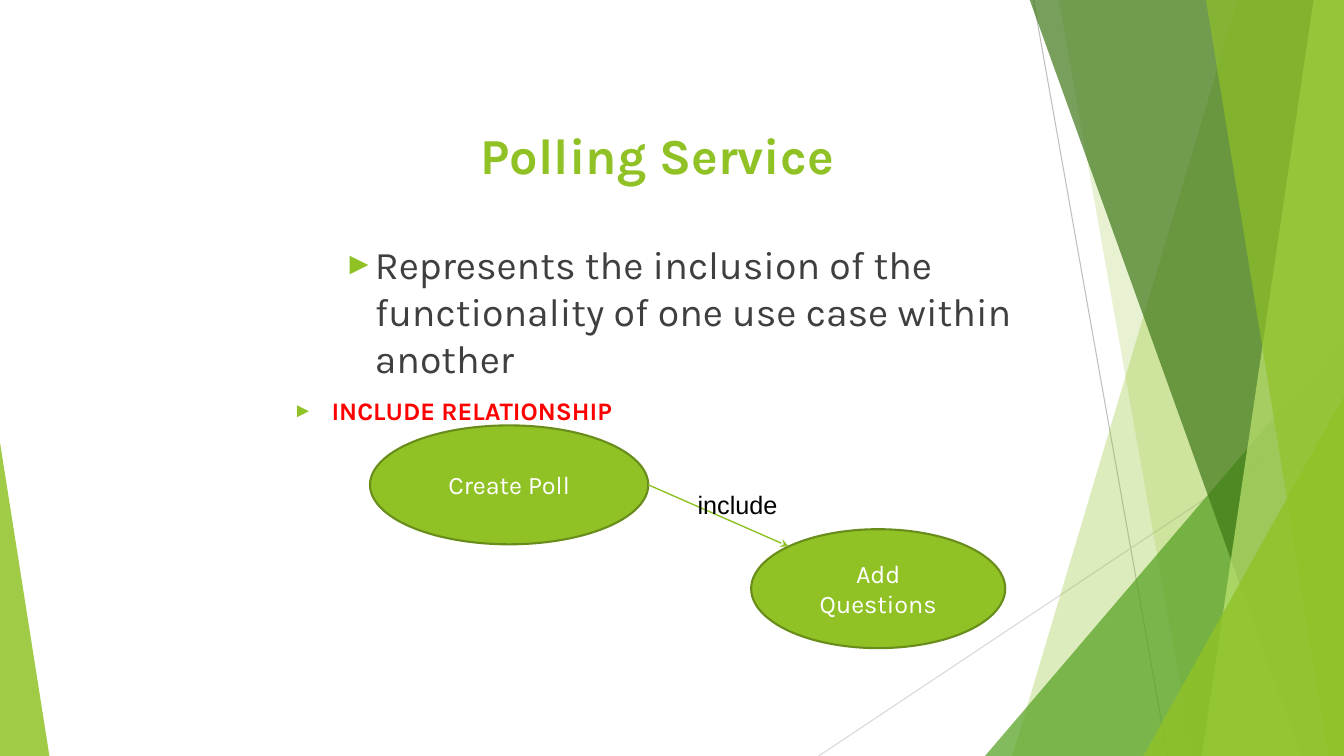
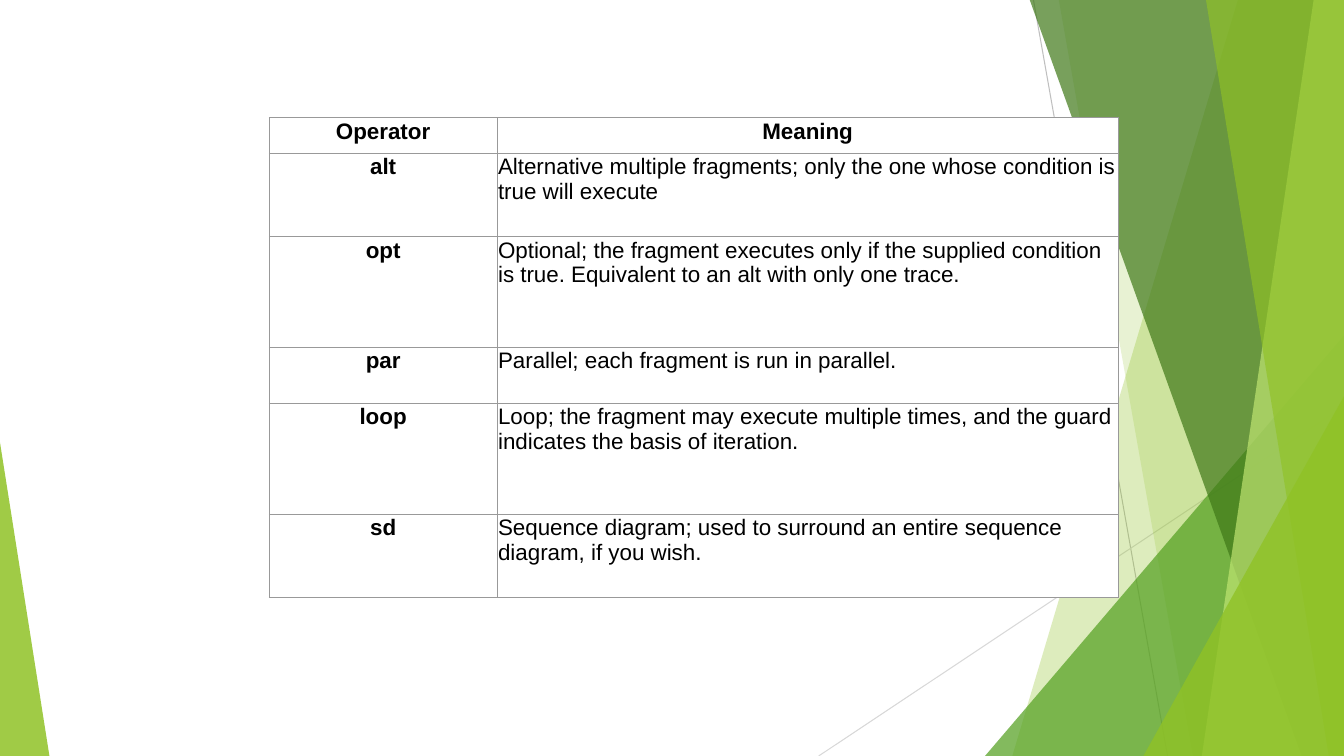
"""Build two slides on polling use cases and sequence diagram operators."""
from dataclasses import dataclass

from lxml import etree
from pptx import Presentation
from pptx.dml.color import RGBColor
from pptx.enum.shapes import MSO_CONNECTOR, MSO_SHAPE
from pptx.enum.text import MSO_ANCHOR, MSO_AUTO_SIZE, PP_ALIGN
from pptx.oxml.ns import qn
from pptx.util import Inches, Pt

CENTER, LEFT = PP_ALIGN.CENTER, PP_ALIGN.LEFT
MIDDLE = MSO_ANCHOR.MIDDLE
NO_FIT = MSO_AUTO_SIZE.NONE
STRAIGHT = MSO_CONNECTOR.STRAIGHT
OVAL, TRIANGLE = MSO_SHAPE.OVAL, MSO_SHAPE.ISOSCELES_TRIANGLE

COLORS = {
    "lime": "90C226", "green": "54A021", "forest": "3F7818", "pale": "BFE471",
    "olive": "698D1B", "text": "3F3F3F", "red": "FF0000", "black": "000000",
    "white": "FFFFFF", "border": "999999", "line": "BFBFBF", "light_line": "D8D8D8",
}
FORMATS = {
    "title": {"name": "Karla", "size": Pt(36), "bold": True, "color": "lime"},
    "body": {"name": "Karla", "size": Pt(28), "color": "text"},
    "heading": {"name": "Karla", "size": Pt(18), "bold": True, "color": "red"},
    "use_case": {"name": "Karla", "size": Pt(18), "color": "white"},
    "label": {"name": "Arial", "size": Pt(18), "color": "black"},
    "cell": {"name": "Arial", "size": Pt(16), "bold": False, "color": "black"},
    "cell_bold": {"name": "Arial", "size": Pt(16), "bold": True, "color": "black"},
}
WIDTH, HEIGHT, BLEED = 13.33, 7.5, -0.01


@dataclass(frozen=True)
class Line:
    x1: float
    y1: float
    x2: float
    y2: float
    color: str
    weight: float = 0.75
    arrow: bool = False


@dataclass(frozen=True)
class Band:
    top_x: float
    bottom_x: float
    color: str
    alpha: int


@dataclass(frozen=True)
class Wedge:
    left: float
    top: float
    width: float
    apex: int
    color: str
    alpha: int


@dataclass(frozen=True)
class UseCase:
    text: str
    left: float
    top: float
    width: float
    height: float = 1.18


@dataclass(frozen=True)
class Bullet:
    text: str
    style: str
    margin: float
    indent: float
    before: int
    level: int = 0


GUIDES = [
    Line(10.25, 0, 11.58, HEIGHT, "line"),
    Line(WIDTH, 4.03, 8.12, HEIGHT, "light_line"),
]
FACETS = [
    Band(12.28, 10.04, "lime", 30),
    Band(10.5, 11.83, "lime", 20),
    Wedge(9.77, 3.33, 3.56, 1, "green", 72),
    Band(10.21, 12.91, "forest", 70),
    Band(13.03, 11.92, "pale", 70),
    Band(11.96, 13.18, "lime", 65),
    Wedge(11.34, 3.93, 1.99, 1, "lime", 80),
    Wedge(0, 4.39, 0.49, 0, "lime", 85),
]
BULLETS = [
    Bullet("Represents the inclusion of the functionality of one use case within another",
           "body", 0.81, -0.31, 0, 1),
    Bullet("INCLUDE RELATIONSHIP", "heading", 0.38, -0.38, 10),
]
USE_CASES = [
    UseCase("Create Poll", 3.67, 4.22, 2.76),
    UseCase("Add Questions", 7.45, 5.25, 2.52),
]
INCLUDE_ARROW = Line(6.43, 4.81, 7.82, 5.42, "lime", 1, True)
COLUMN_WIDTHS = [2.26, 6.16]
ROW_HEIGHTS = [0.35, 0.83, 1.1, 0.55, 1.1, 0.83]
OPERATORS = [
    ("Operator", "Meaning"),
    ("alt", "Alternative multiple fragments; only the one whose condition is true will execute"),
    ("opt", "Optional; the fragment executes only if the supplied condition is true. "
            "Equivalent to an alt with only one trace."),
    ("par", "Parallel; each fragment is run in parallel."),
    ("loop", "Loop; the fragment may execute multiple times, and the guard indicates "
             "the basis of iteration."),
    ("sd", "Sequence diagram; used to surround an entire sequence diagram, if you wish."),
]


def rgb(color: str) -> RGBColor:
    return RGBColor.from_string(COLORS[color])


def write(p, text: str, style: str, align=LEFT) -> None:
    p.alignment = align
    r = p.add_run()
    r.text = text
    for key, value in FORMATS[style].items():
        if key == "color":
            r.font.color.rgb = rgb(value)
        else:
            setattr(r.font, key, value)


def draw_line(s, line: Line) -> None:
    ends = (Inches(v) for v in (line.x1, line.y1, line.x2, line.y2))
    cxn = s.shapes.add_connector(STRAIGHT, *ends)
    cxn.line.color.rgb = rgb(line.color)
    cxn.line.width = Pt(line.weight)
    sp_pr = cxn.element.spPr
    if line.arrow:
        etree.SubElement(sp_pr.find(qn("a:ln")), qn("a:tailEnd"), type="stealth")
    etree.SubElement(sp_pr, qn("a:effectLst"))


def draw_facet(s, facet: Band | Wedge) -> None:
    if isinstance(facet, Band):
        points = [(facet.top_x, BLEED), (WIDTH, BLEED), (WIDTH, HEIGHT), (facet.bottom_x, HEIGHT)]
        start, *rest = [(Inches(x), Inches(y)) for x, y in points]
        builder = s.shapes.build_freeform(*start)
        builder.add_line_segments(rest, close=True)
        sp = builder.convert_to_shape()
    else:
        sp = s.shapes.add_shape(TRIANGLE, Inches(facet.left), Inches(facet.top),
                                Inches(facet.width), Inches(HEIGHT - facet.top))
        sp.adjustments[0] = facet.apex
    sp.shadow.inherit = False
    sp.line.fill.background()
    sp.fill.solid()
    sp.fill.fore_color.rgb = rgb(facet.color)
    clr = sp.element.spPr.find(qn("a:solidFill")).find(qn("a:srgbClr"))
    etree.SubElement(clr, qn("a:alpha"), val=str(facet.alpha * 1000))


def add_slide(prs, layout: int):
    s = prs.slides.add_slide(prs.slide_layouts[layout])
    for line in GUIDES:
        draw_line(s, line)
    for facet in FACETS:
        draw_facet(s, facet)
    return s


def set_title(s, text: str) -> None:
    sp = s.shapes.title
    box = {"left": 2.81, "top": 1.12, "width": 7.68, "height": 0.82}
    for key, value in box.items():
        setattr(sp, key, Inches(value))
    tf = sp.text_frame
    tf.auto_size = NO_FIT
    tf.vertical_anchor = MIDDLE
    tf.margin_right = Inches(0.36)
    write(tf.paragraphs[0], text, "title", CENTER)


def add_bullet(p, bullet: Bullet) -> None:
    write(p, bullet.text, bullet.style)
    p.level = bullet.level
    p.space_before = Pt(bullet.before)
    p_pr = p._p.get_or_add_pPr()
    p_pr.set("marL", str(Inches(bullet.margin)))
    p_pr.set("indent", str(Inches(bullet.indent)))
    clr = etree.SubElement(p_pr, qn("a:buClr"))
    etree.SubElement(clr, qn("a:srgbClr"), val=COLORS["lime"])
    etree.SubElement(p_pr, qn("a:buSzPct"), val="80000")
    etree.SubElement(p_pr, qn("a:buFont"), typeface="Arial")
    etree.SubElement(p_pr, qn("a:buChar"), char="►")


def add_text_box(s, left: float, top: float, width: float, height: float):
    sp = s.shapes.add_textbox(Inches(left), Inches(top), Inches(width), Inches(height))
    sp.text_frame.word_wrap = True
    return sp.text_frame


def draw_use_case(s, case: UseCase) -> None:
    sp = s.shapes.add_shape(OVAL, Inches(case.left), Inches(case.top),
                            Inches(case.width), Inches(case.height))
    sp.shadow.inherit = False
    sp.fill.solid()
    sp.fill.fore_color.rgb = rgb("lime")
    sp.line.color.rgb = rgb("olive")
    sp.line.width = Pt(1.5)
    sp.text_frame.vertical_anchor = MIDDLE
    write(sp.text_frame.paragraphs[0], case.text, "use_case", CENTER)


def format_cell(cell) -> None:
    for side in ("left", "right", "top", "bottom"):
        setattr(cell, f"margin_{side}", Inches(0.01))
    tc_pr = cell._tc.get_or_add_tcPr()
    for tag in ("a:lnL", "a:lnR", "a:lnT", "a:lnB"):
        ln = etree.SubElement(tc_pr, qn(tag), w=str(Pt(0.75)))
        fill = etree.SubElement(ln, qn("a:solidFill"))
        etree.SubElement(fill, qn("a:srgbClr"), val=COLORS["border"])
    cell.fill.solid()
    cell.fill.fore_color.rgb = rgb("white")


def add_operator_table(s) -> None:
    table = s.shapes.add_table(len(ROW_HEIGHTS), len(COLUMN_WIDTHS), Inches(2.67), Inches(1.17),
                               Inches(sum(COLUMN_WIDTHS)), Inches(sum(ROW_HEIGHTS))).table
    table.first_row = table.horz_banding = False
    for column, width in zip(table.columns, COLUMN_WIDTHS):
        column.width = Inches(width)
    for i, (row, height) in enumerate(zip(table.rows, ROW_HEIGHTS)):
        row.height = Inches(height)
        for j, cell in enumerate(row.cells):
            format_cell(cell)
            strong = i == 0 or j == 0
            write(cell.text_frame.paragraphs[0], OPERATORS[i][j],
                  "cell_bold" if strong else "cell", CENTER if strong else LEFT)


def build_polling_slide(prs) -> None:
    s = add_slide(prs, 5)
    set_title(s, "Polling Service")
    tf = add_text_box(s, 2.81, 2.33, 7.41, 4.72)
    for i, bullet in enumerate(BULLETS):
        add_bullet(tf.add_paragraph() if i else tf.paragraphs[0], bullet)
    for case in USE_CASES:
        draw_use_case(s, case)
    draw_line(s, INCLUDE_ARROW)
    write(add_text_box(s, 6.82, 4.81, 1.42, 0.4).paragraphs[0], "include", "label")


def main() -> None:
    prs = Presentation()
    prs.slide_width, prs.slide_height = Inches(WIDTH), Inches(HEIGHT)
    build_polling_slide(prs)
    add_operator_table(add_slide(prs, 6))
    prs.save("out.pptx")


if __name__ == "__main__":
    main()
